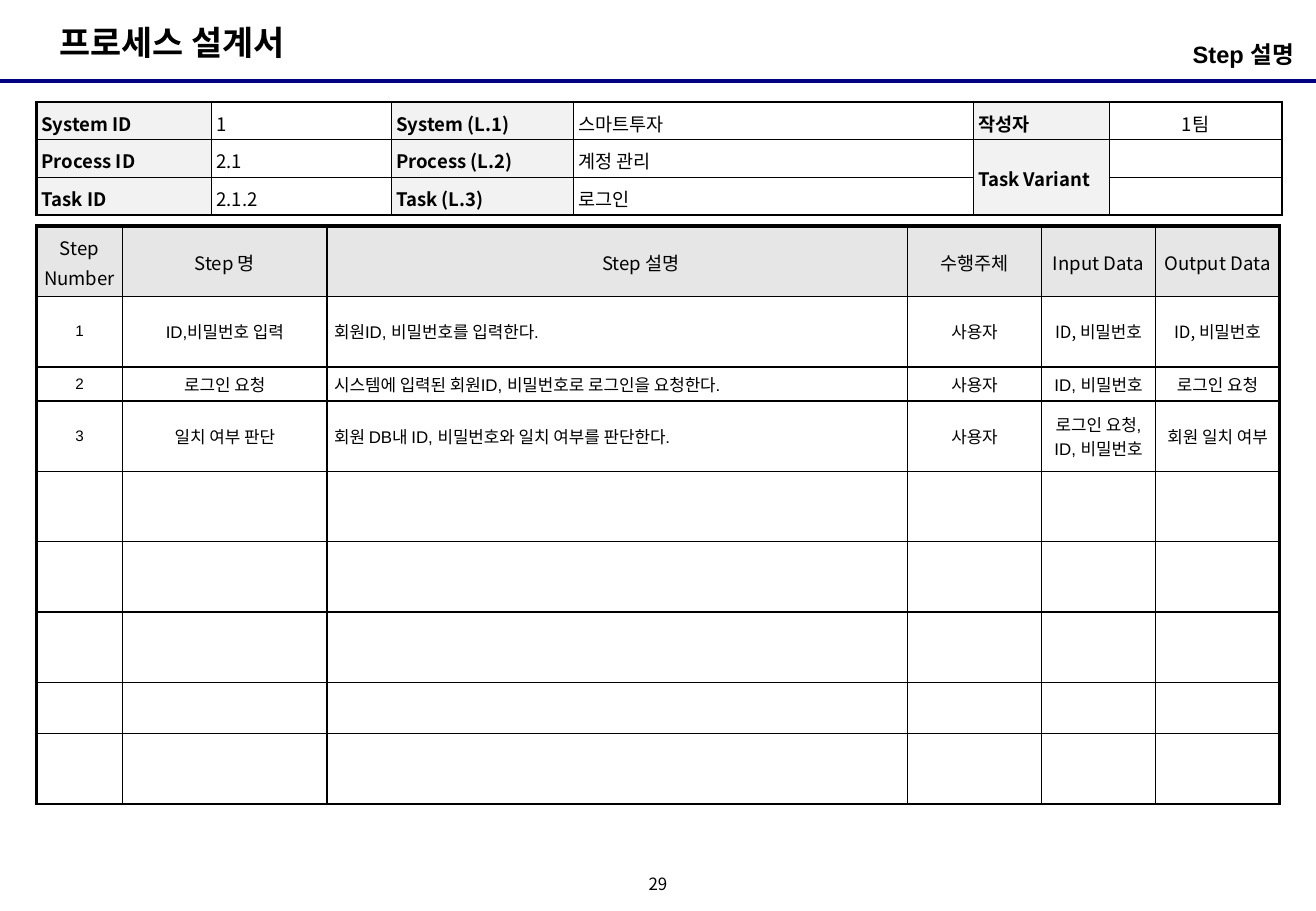
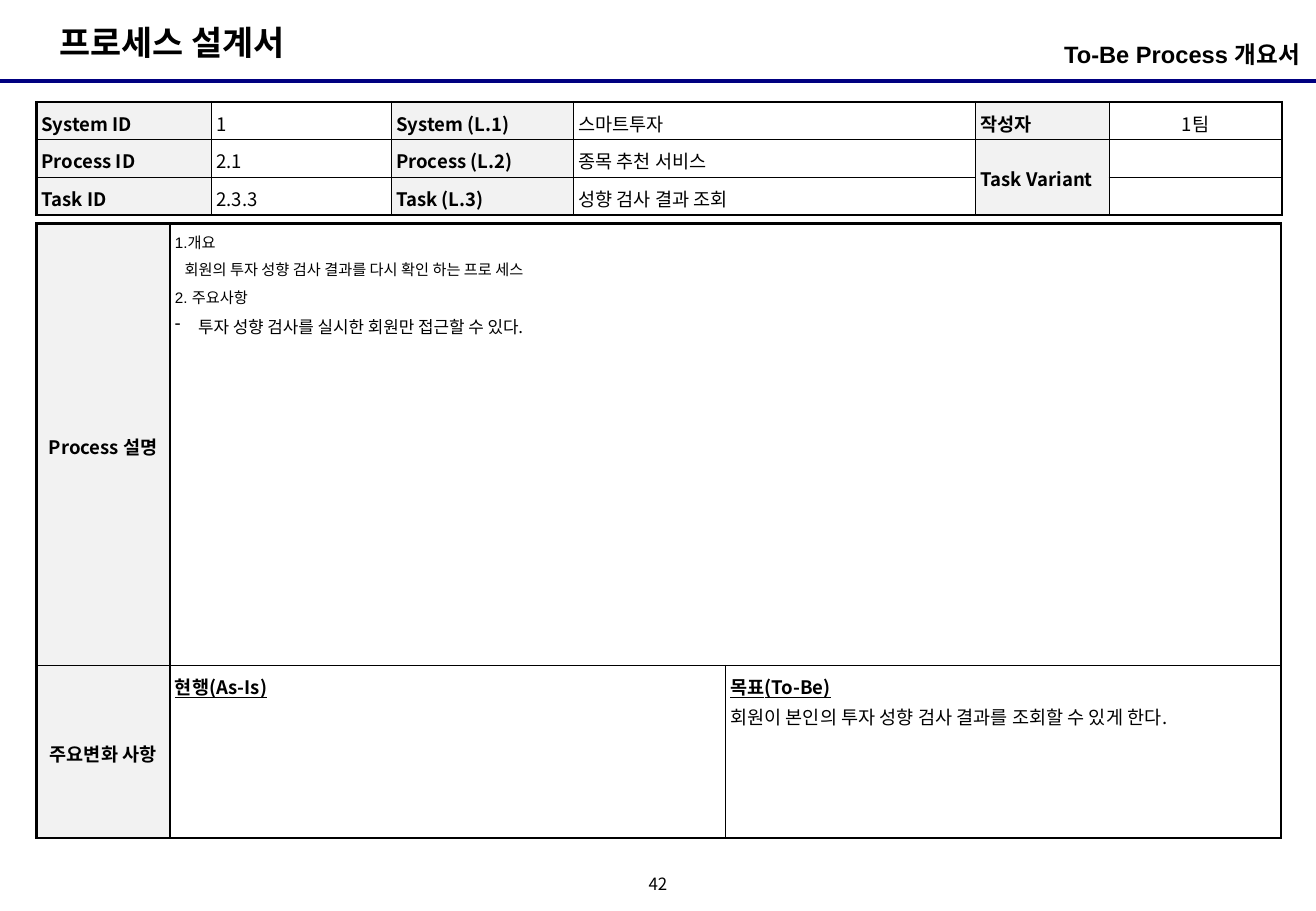
from dataclasses import dataclass, field, replace

from lxml import etree
from pptx import Presentation
from pptx import util as u
from pptx.dml.color import RGBColor
from pptx.enum import shapes, text
from pptx.oxml import ns

BLACK = RGBColor(0x00, 0x00, 0x00)
NAVY = RGBColor(0x00, 0x00, 0x80)
LABEL_GRAY = RGBColor(0xF2, 0xF2, 0xF2)
HEADER_GRAY = RGBColor(0xE6, 0xE6, 0xE6)
WHITE = RGBColor(0xFF, 0xFF, 0xFF)
ARIAL = "Arial"
NOTO = "Noto Sans CJK KR"
LEFT, CENTER, RIGHT = text.PP_ALIGN.LEFT, text.PP_ALIGN.CENTER, text.PP_ALIGN.RIGHT
TOP, MIDDLE = text.MSO_ANCHOR.TOP, text.MSO_ANCHOR.MIDDLE


@dataclass(frozen=True)
class Line:
    words: str
    size: float = 11
    font: str = NOTO
    bold: bool = False
    underline: bool = False
    align: text.PP_ALIGN = LEFT
    spacing: float = 1.1
    before: float = 0
    left: float = 0
    hanging: float = 0
    bullet: str = ""


@dataclass(frozen=True)
class Cell:
    lines: tuple[Line, ...] = ()
    fill: RGBColor | None = None
    anchor: text.MSO_ANCHOR = TOP
    rows: int = 1
    columns: int = 1
    rule: float = 1


@dataclass(frozen=True)
class Edges:
    left: float
    top: float
    right: float
    bottom: float


@dataclass(frozen=True)
class Grid:
    top: float
    columns: list[float]
    rows: list[float]
    cells: list[list[Cell | None]]
    edges: Edges = field(default=Edges(1.5, 1.5, 1.5, 1.5))
    side_margin: float = 0.04


def add_child(parent, tag: str, **attributes: str):
    return etree.SubElement(parent, ns.qn(tag), attributes)


def write_lines(frame, lines: tuple[Line, ...]) -> None:
    for index, line in enumerate(lines):
        para = frame.paragraphs[0] if index == 0 else frame.add_paragraph()
        properties = para._p.get_or_add_pPr()
        if line.left:
            properties.set("marL", str(u.Inches(line.left)))
            properties.set("indent", str(-u.Inches(line.hanging)))
        if line.bullet:
            color = add_child(properties, "a:buClr")
            add_child(color, "a:srgbClr", val=str(BLACK))
            add_child(properties, "a:buChar", char=line.bullet)
        para.alignment = line.align
        para.line_spacing = line.spacing
        if line.before:
            para.space_before = u.Pt(line.before)
        span = para.add_run()
        span.text = line.words
        span.font.size = u.Pt(line.size)
        span.font.name = line.font
        span.font.bold = line.bold
        span.font.underline = line.underline
        span.font.color.rgb = BLACK
        add_child(span._r.get_or_add_rPr(), "a:ea", typeface=NOTO)


def add_text(page, left: float, top: float, width: float, height: float, line: Line,
             margins: Edges, anchor: text.MSO_ANCHOR = TOP) -> None:
    box = page.shapes.add_textbox(*map(u.Inches, (left, top, width, height)))
    frame = box.text_frame
    frame.word_wrap = True
    frame.vertical_anchor = anchor
    frame.margin_left, frame.margin_right = u.Inches(margins.left), u.Inches(margins.right)
    frame.margin_top, frame.margin_bottom = u.Inches(margins.top), u.Inches(margins.bottom)
    write_lines(frame, (line,))


def set_borders(cell, widths: Edges) -> None:
    properties = cell._tc.get_or_add_tcPr()
    sides = (("a:lnL", widths.left), ("a:lnR", widths.right),
             ("a:lnT", widths.top), ("a:lnB", widths.bottom))
    for tag, width in sides:
        border = add_child(properties, tag, w=str(u.Pt(width)))
        add_child(add_child(border, "a:solidFill"), "a:srgbClr", val=str(BLACK))


def add_grid(page, grid: Grid) -> None:
    row_count, column_count = len(grid.rows), len(grid.columns)
    table = page.shapes.add_table(
        row_count, column_count, u.Inches(0.3), u.Inches(grid.top),
        u.Inches(sum(grid.columns)), u.Inches(sum(grid.rows))).table
    table.first_row = table.horz_banding = False
    for column, width in zip(table.columns, grid.columns):
        column.width = u.Inches(width)
    for row, height in zip(table.rows, grid.rows):
        row.height = u.Inches(height)
    for r, cells in enumerate(grid.cells):
        for c, item in enumerate(cells):
            if item is None:
                continue
            cell = table.cell(r, c)
            last_row, last_column = r + item.rows - 1, c + item.columns - 1
            if (last_row, last_column) != (r, c):
                cell.merge(table.cell(last_row, last_column))
            cell.margin_left = cell.margin_right = u.Inches(grid.side_margin)
            cell.margin_top = cell.margin_bottom = u.Inches(0.04)
            cell.vertical_anchor = item.anchor
            set_borders(cell, Edges(
                grid.edges.left if c == 0 else item.rule,
                grid.edges.top if r == 0 else item.rule,
                grid.edges.right if last_column == column_count - 1 else item.rule,
                grid.edges.bottom if last_row == row_count - 1 else item.rule))
            if item.fill is None:
                cell.fill.background()
            else:
                cell.fill.solid()
                cell.fill.fore_color.rgb = item.fill
            if item.lines:
                write_lines(cell.text_frame, item.lines)
            else:
                add_child(cell.text_frame.paragraphs[0]._p, "a:endParaRPr", sz="1000")


def label(words: str, **options) -> Cell:
    return Cell((Line(words, bold=True),), LABEL_GRAY, **options)


def value(words: str) -> Cell:
    return Cell((Line(words),))


def add_page(deck, subtitle: str, number: str, subtitle_inset: float = 0):
    page = deck.slides.add_slide(deck.slide_layouts[6])
    rule = page.shapes.add_connector(
        shapes.MSO_CONNECTOR.STRAIGHT, 0, u.Inches(0.67), deck.slide_width, u.Inches(0.67))
    rule.line.color.rgb = NAVY
    rule.line.width = u.Pt(2.25)
    add_child(rule._element.spPr, "a:effectLst")
    add_text(page, 0.39, 0.13, 2.26, 0.44,
             Line("프로세스 설계서", 20, ARIAL, True, spacing=1), Edges(0.1, 0.05, 0.1, 0.05))
    add_text(page, 5.25, 7.17, 0.33, 0.25,
             Line(number, 10, align=CENTER, spacing=0.8), Edges(0, 0, 0, 0), MIDDLE)
    add_text(page, 7.39, 0.28, 3.31, 0.39,
             Line(subtitle, 14, ARIAL, True, align=RIGHT, spacing=1),
             Edges(0, 0.05, subtitle_inset, 0.05))
    return page


def add_identity(page, process: str, task_id: str, task: str,
                 name_width: float, variant_rule: float) -> None:
    blank = Cell(rule=variant_rule)
    add_grid(page, Grid(
        0.84, [1.44, 1.48, 1.5, name_width, 4.41 - name_width, 1.42], [0.31] * 3, [
            [label("System ID"), value("1"), label("System (L.1)"), value("스마트투자"),
             label("작성자", anchor=MIDDLE),
             Cell((Line("1팀", align=CENTER),), anchor=MIDDLE)],
            [label("Process ID"), value("2.1"), label("Process (L.2)"), value(process),
             label("Task Variant", anchor=MIDDLE, rows=2, rule=variant_rule), blank],
            [label("Task ID"), value(task_id), label("Task (L.3)"), value(task),
             None, blank],
        ]))


def step_row(number: str, name: str, description: str, actor: str,
             given: str, result: str, data_font: str = ARIAL) -> list[Cell]:
    body = Line("", 10, ARIAL, align=CENTER, spacing=1)
    lines = [replace(body, words=number, size=9), replace(body, words=name),
             replace(body, words=description, align=LEFT)]
    lines += [replace(body, words=words, font=data_font) for words in (actor, given, result)]
    return [Cell((line,), anchor=MIDDLE) for line in lines]


def add_steps(page) -> None:
    titles = ("Step Number", "Step 명", "Step 설명", "수행주체", "Input Data", "Output Data")
    header = [Cell((Line(title, align=CENTER, left=0.39 if title == "Step 설명" else 0),),
                   HEADER_GRAY, MIDDLE) for title in titles]
    steps = [
        step_row("1", "ID,비밀번호 입력", "회원ID, 비밀번호를 입력한다.",
                 "사용자", "ID, 비밀번호", "ID, 비밀번호", NOTO),
        step_row("2", "로그인 요청", "시스템에 입력된 회원ID, 비밀번호로 로그인을 요청한다.",
                 "사용자", "ID, 비밀번호", "로그인 요청"),
        step_row("3", "일치 여부 판단", "회원 DB내 ID, 비밀번호와 일치 여부를 판단한다.",
                 "사용자", "로그인 요청, ID, 비밀번호", "회원 일치 여부"),
    ]
    spare = [[Cell()] * len(titles) for _ in range(5)]
    add_grid(page, Grid(
        1.86, [0.71, 1.68, 4.78, 1.1, 0.94, 1.02],
        [0.58, 0.58, 0.28, 0.58, 0.58, 0.58, 0.58, 0.42, 0.58],
        [header, *steps, *spare], Edges(2.25, 2.25, 2.25, 1), 0.06))


def add_overview(page) -> None:
    def side(words: str) -> Cell:
        return Cell((Line(words, bold=True, align=CENTER),), LABEL_GRAY, MIDDLE)

    def heading(words: str) -> Line:
        return Line(words, bold=True, underline=True)

    description = (
        Line("1.개요", 9, ARIAL),
        Line("회원의 투자 성향 검사 결과를 다시 확인 하는 프로 세스", 9, ARIAL,
             before=2, left=0.08),
        Line("2. 주요사항", 9, ARIAL, before=2),
        Line("투자 성향 검사를 실시한 회원만 접근할 수 있다.", 10,
             before=2, left=0.19, hanging=0.19, bullet="-"),
    )
    target = (heading("목표(To-Be)"),
              Line("회원이 본인의 투자 성향 검사 결과를 조회할 수 있게 한다.",
                   left=0.09, hanging=0.09))
    add_grid(page, Grid(1.84, [1.1, 4.57, 4.57], [3.64, 1.42], [
        [side("Process 설명"), Cell(description, WHITE, columns=2), None],
        [side("주요변화 사항"), Cell((heading("현행(As-Is)"),), WHITE), Cell(target, WHITE)],
    ]))


def main() -> None:
    deck = Presentation()
    deck.slide_width, deck.slide_height = u.Inches(10.83), u.Inches(7.5)

    page = add_page(deck, "Step 설명", "29", 0.05)
    add_identity(page, "계정 관리", "2.1.2", "로그인", 3.29, 0.75)
    add_steps(page)

    page = add_page(deck, "To-Be Process 개요서", "42")
    add_identity(page, "종목 추천 서비스", "2.3.3", "성향 검사 결과 조회", 3.31, 1)
    add_overview(page)

    deck.save("out.pptx")


if __name__ == "__main__":
    main()
